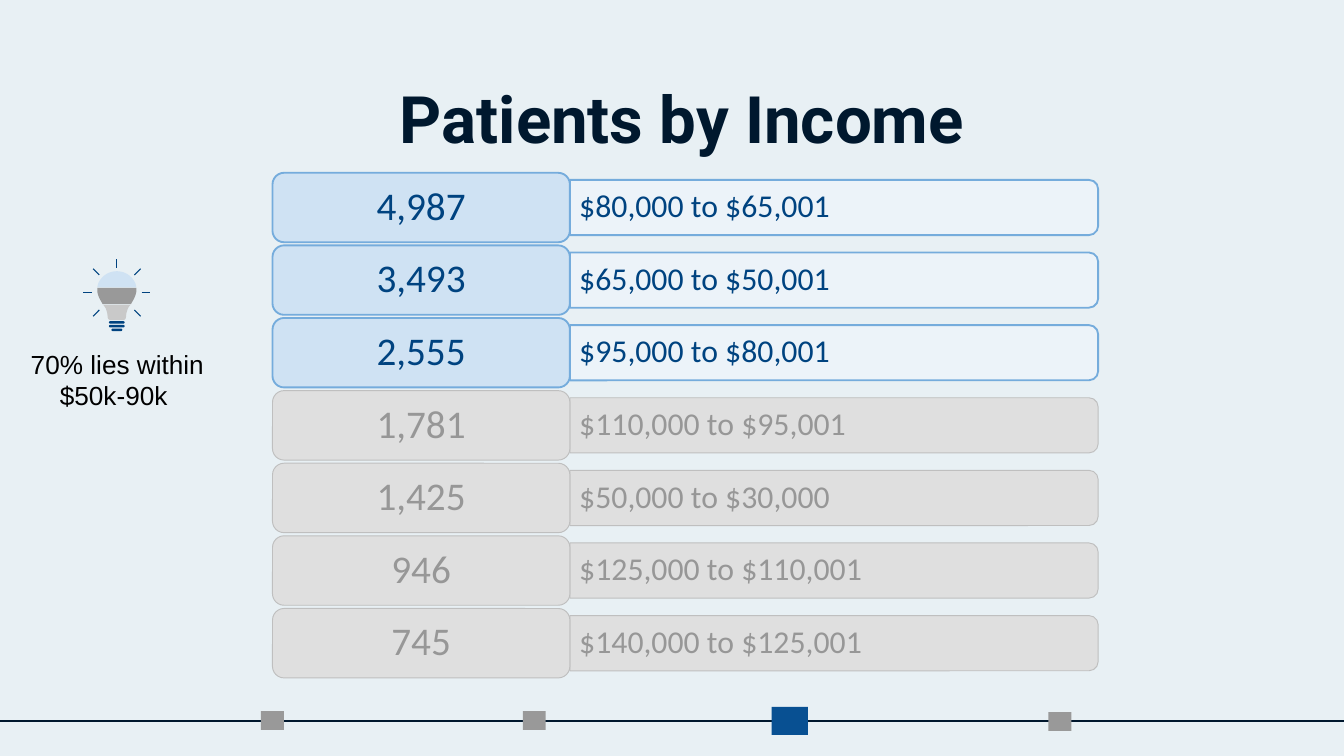
import math
import pptx
import pptx.util
import pptx.dml.color
import pptx.enum.shapes
import pptx.enum.text
from lxml import etree
from pptx.oxml.ns import qn

Pt = pptx.util.Pt
Kind = pptx.enum.shapes.MSO_SHAPE
Align = pptx.enum.text.PP_ALIGN
Anchor = pptx.enum.text.MSO_ANCHOR

NAVY, BLUE, GRAY = "00182E", "004380", "999999"


def paint(fmt, color, alpha=None):
    """Give a fill a solid colour, with opacity in percent if wanted."""
    fmt.solid()
    fmt.fore_color.rgb = pptx.dml.color.RGBColor.from_string(color)
    if alpha:
        node = fmt._xPr.find(qn("a:solidFill"))[0]
        etree.SubElement(node, qn("a:alpha")).set("val", str(alpha * 1000))


def write(frame, text, size=14, font="Arial", color="000000", bold=False,
          align=Align.LEFT, anchor=Anchor.TOP, inset=(7.2, 3.6, 7.2, 3.6),
          space=None, indents=()):
    """Fill a text frame, one paragraph to a line of text."""
    frame.word_wrap = True
    frame.vertical_anchor = anchor
    (frame.margin_left, frame.margin_top,
     frame.margin_right, frame.margin_bottom) = map(Pt, inset)
    for i, line in enumerate(text.split("\n")):
        para = frame.paragraphs[0] if i == 0 else frame.add_paragraph()
        para.alignment = align
        para.line_spacing = space
        if indents:
            para._p.get_or_add_pPr().set("marL", str(Pt(indents[i])))
        run = para.add_run()
        run.text = line
        run.font.size = Pt(size)
        run.font.name = font
        run.font.bold = bold
        paint(run.font.fill, color)


def trace(start, *steps):
    """Points along a path of lines (2 numbers) and curves (6 numbers)."""
    pts = [start]
    for step in steps:
        if len(step) == 2:
            pts.append(step)
            continue
        a, b, c, d = pts[-1], step[:2], step[2:4], step[4:]
        for t in (i / 10 for i in range(1, 11)):
            u = 1 - t
            pts.append(tuple(
                u**3 * a[k] + 3 * u * u * t * b[k] + 3 * u * t * t * c[k]
                + t**3 * d[k] for k in (0, 1)))
    return pts


class Deck:
    def __init__(self, wide, high, back):
        self.prs = pptx.Presentation()
        self.prs.slide_width, self.prs.slide_height = Pt(wide), Pt(high)
        self.slide = self.prs.slides.add_slide(self.prs.slide_layouts[6])
        self.shapes = self.slide.shapes
        paint(self.slide.background.fill, back)

    def style(self, shape, fill, line=None, width=1, alpha=None):
        shape.shadow.inherit = False
        paint(shape.fill, fill, alpha)
        if line:
            paint(shape.line.fill, line)
            shape.line.width = Pt(width)
        else:
            shape.line.fill.background()
        return shape

    def box(self, kind, x, y, w, h, fill, **look):
        shape = self.shapes.add_shape(kind, Pt(x), Pt(y), Pt(w), Pt(h))
        return self.style(shape, fill, **look)

    def text(self, x, y, w, h, words, **fmt):
        area = self.shapes.add_textbox(Pt(x), Pt(y), Pt(w), Pt(h))
        write(area.text_frame, words, **fmt)

    def line(self, x1, y1, x2, y2, color, width):
        link = self.shapes.add_connector(
            pptx.enum.shapes.MSO_CONNECTOR.STRAIGHT,
            Pt(x1), Pt(y1), Pt(x2), Pt(y2))
        paint(link.line.fill, color)
        link.line.width = Pt(width)
        etree.SubElement(link._element.spPr, qn("a:effectLst"))

    def mirror(self, axis, half, fill):
        """Draw a closed outline from its left half, given from the axis."""
        pts = [(axis + x, y) for x, y in half]
        pts += [(axis - x, y) for x, y in reversed(half)]
        pts = [(round(x * 100), round(y * 100)) for x, y in pts]
        pen = self.shapes.build_freeform(*pts[0], scale=Pt(1) / 100)
        pen.add_line_segments(pts[1:], close=True)
        self.style(pen.convert_to_shape(), fill)


def main():
    deck = Deck(720, 405, "E8F0F4")

    # Timeline at the foot
    deck.line(720, 386.3, 0, 386.3, NAVY, 0.75)
    deck.box(Kind.RECTANGLE, 413.4, 378.7, 19.4, 15, "085092")
    for x, y in ((561.7, 381.5), (139.8, 381), (280.1, 381)):
        deck.box(Kind.RECTANGLE, x, y, 12.3, 10.1, GRAY)

    # Title
    deck.text(62, 34.6, 607, 45.4, "Patients by Income", size=35,
              font="Roboto", color=NAVY, bold=True, align=Align.CENTER,
              inset=(7.2,) * 4)

    # Income rows: the three largest stand out
    rows = (("4,987", "$80,000 to $65,001"),
            ("3,493", "$65,000 to $50,001"),
            ("2,555", "$95,000 to $80,001"),
            ("1,781", "$110,000 to $95,001"),
            ("1,425", "$50,000 to $30,000"),
            ("946", "$125,000 to $110,001"),
            ("745", "$140,000 to $125,001"))
    left, top, step = 146, 92.6, 38.9
    wide, high = 159.3, 37.2
    span, thick = 283, 29.6
    for i, (count, band) in enumerate(rows):
        y = top + i * step
        mid = y + high / 2
        edge = left + wide
        if i < 3:
            bar, tag, ink = "EDF4FA", "CFE2F3", BLUE
            rim, alpha = dict(line="75ACDC", width=1), 90
        else:
            bar, tag, ink = "DFDFDF", "DFDFDF", "979797"
            rim, alpha = dict(line="BFBFBF", width=0.5), None
        fmt = dict(font="Calibri", color=ink, anchor=Anchor.MIDDLE, space=0.9)
        shape = deck.box(Kind.ROUND_2_SAME_RECTANGLE,
                         edge + (span - thick) / 2, mid - span / 2,
                         thick, span, bar, alpha=alpha, **rim)
        shape.rotation = 90
        deck.text(edge, mid - 13.3, 281.5, 26.6, band, size=17,
                  inset=(5, 3, 5, 3), **fmt)
        shape = deck.box(Kind.ROUNDED_RECTANGLE, left, y, wide, high, tag,
                         **rim)
        write(shape.text_frame, count, size=21, align=Align.CENTER,
              inset=(6.5, 3, 6.5, 3), **fmt)

    # Light bulb: glass, band and cup
    axis, heart = 62.6, 156.7
    deck.mirror(axis, trace(
        (0, 145.3), (-3.6, 145.3, -7.2, 147, -9.3, 150.6),
        (-9.9, 151.5, -10.3, 152.7, -10.4, 153.9)), "CFE2F3")
    deck.mirror(axis, trace(
        (-10.4, 154.2), (-10.4, 156.5),
        (-10, 159, -8.6, 161, -7.6, 162.9)), GRAY)
    deck.mirror(axis, trace(
        (-7.3, 163.3), (-6.4, 164.3, -5.8, 165.3, -5.5, 166.5),
        (-5, 168, -5, 169, -4.9, 169.8),
        (-4.9, 170.8, -4.2, 171.5, -3.2, 171.5)), "C9C9C9")

    # Rays and screw base
    for turn in range(-225, 46, 45):
        dx, dy = math.cos(math.radians(turn)), math.sin(math.radians(turn))
        deck.line(axis + 13.3 * dx, heart + 13.3 * dy,
                  axis + 18 * dx, heart + 18 * dy, BLUE, 0.6)
    for i, w in enumerate((8.4, 8.4, 5.8)):
        bar = deck.box(Kind.ROUNDED_RECTANGLE, axis - w / 2, 172.1 + 2 * i,
                       w, 1.3, BLUE)
        bar.adjustments[0] = 0.5

    # Takeaway
    deck.text(9.4, 182.9, 108, 41, "70% lies within\n$50k-90k",
              inset=(7.2, 3.6, 0, 3.6), indents=(0, 15.6))

    deck.prs.save("out.pptx")


if __name__ == "__main__":
    main()
